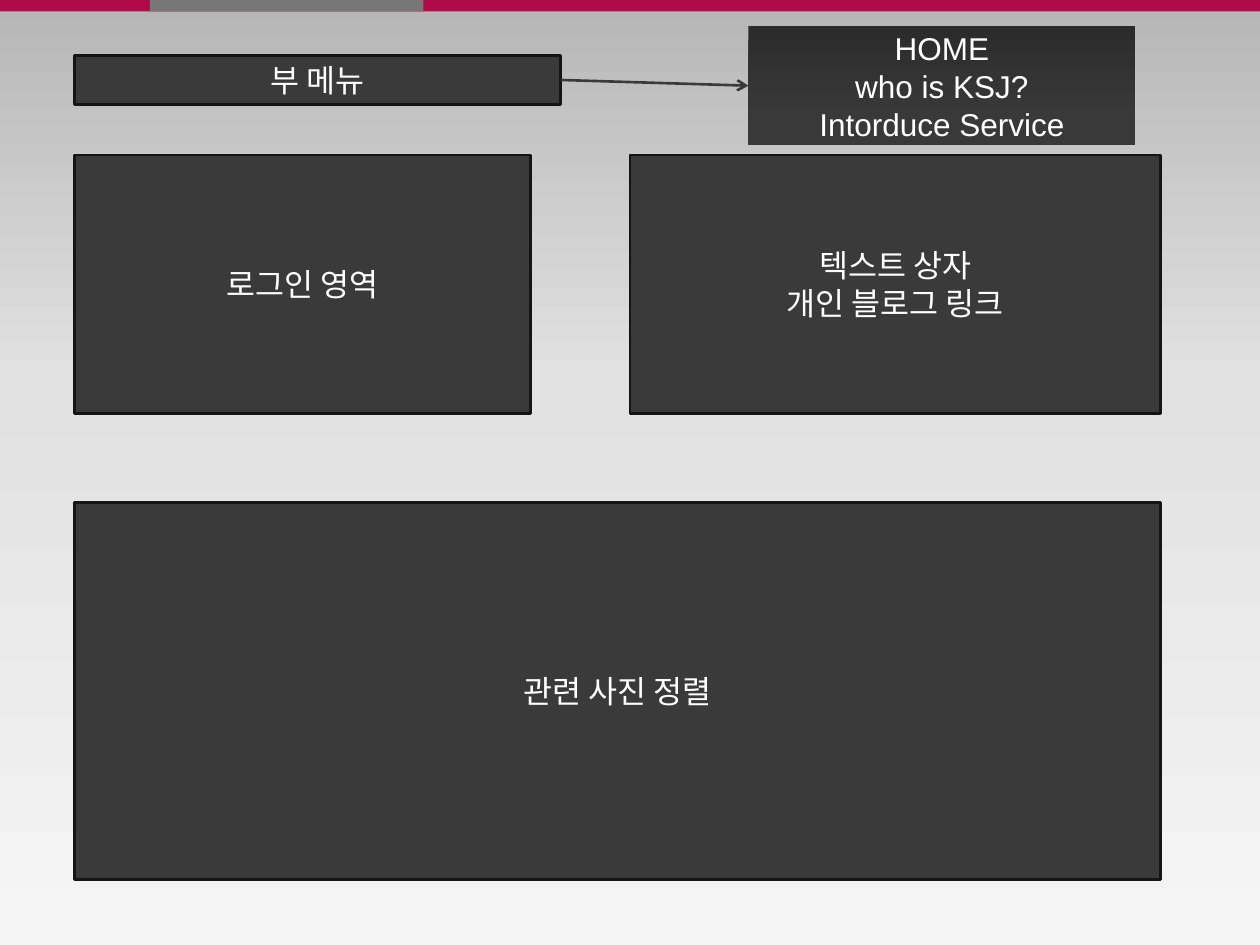
import pptx
import pptx.util
import pptx.dml.color
import pptx.enum.shapes
import pptx.enum.text
import pptx.oxml
from pptx.oxml.ns import qn
from pptx.util import Inches

COLORS = {
    "accent": "AF0948", "tab": "777777", "panel": "3A3A3A",
    "border": "151515", "text": "FFFFFF",
}
PAGE_STOPS = [(0, "B6B6B6"), (40, "E1E1E1"), (100, "F5F5F5")]
SUBMENU_STOPS = [(0, "2C2C2C"), (80, "393939"), (100, "393939")]
LEFT, RIGHT = 0.59, 9.21


def rgb(value):
    return pptx.dml.color.RGBColor.from_string(value)


def set_gradient(fill, element, stops):
    """Fill from top to bottom with (percent, colour) stops."""
    fill.gradient()
    fill.gradient_angle = 270
    gs_list = element.find(".//" + qn("a:gsLst"))
    for gs in list(gs_list):
        gs_list.remove(gs)
    for percent, color in stops:
        gs = gs_list.makeelement(qn("a:gs"), {"pos": str(percent * 1000)})
        gs.append(gs.makeelement(qn("a:srgbClr"), {"val": color}))
        gs_list.append(gs)


def write_text(sp, text, size=18, font="Arial", color=COLORS["text"]):
    tf = sp.text_frame
    tf.word_wrap = True
    tf.vertical_anchor = pptx.enum.text.MSO_ANCHOR.MIDDLE
    for i, line in enumerate(text.split("\n")):
        p = tf.paragraphs[0] if i == 0 else tf.add_paragraph()
        p.alignment = pptx.enum.text.PP_ALIGN.CENTER
        r = p.add_run()
        r.text = line
        r.font.size = pptx.util.Pt(size)
        r.font.name = font
        r.font.color.rgb = rgb(color)


def add_box(s, box, fill=COLORS["panel"], line=None, text=None):
    sp = s.shapes.add_shape(pptx.enum.shapes.MSO_SHAPE.RECTANGLE,
                            *map(Inches, box))
    sp.shadow.inherit = False
    sp.fill.solid()
    sp.fill.fore_color.rgb = rgb(fill)
    if line:
        sp.line.color.rgb = rgb(line)
        sp.line.width = pptx.util.Pt(1.5)
    else:
        sp.line.fill.background()
    if text:
        write_text(sp, text)
    return sp


def add_arrow(s, start, end):
    """Join the right side of start to the left side of end."""
    line = s.shapes.add_connector(
        pptx.enum.shapes.MSO_CONNECTOR.STRAIGHT, 0, 0, 0, 0)
    line.begin_connect(start, 3)
    line.end_connect(end, 1)
    line.line.color.rgb = rgb(COLORS["panel"])
    line.line.width = pptx.util.Pt(1.5)
    ln = line.line._get_or_add_ln()
    ln.append(ln.makeelement(qn("a:tailEnd"), {"type": "arrow"}))
    sp_pr = line.element.spPr
    sp_pr.append(sp_pr.makeelement(qn("a:effectLst"), {}))


def add_top_band(s, left, top, width, height):
    add_box(s, (left, top, width, height), fill=COLORS["accent"])
    add_box(s, (left + 1.19, top, 2.17, height), fill=COLORS["tab"])


def add_menu(s, left, top, width, height):
    menu = add_box(s, (left, top + 0.23, 3.86, 0.39),
                   line=COLORS["border"], text="부 메뉴")
    submenu = add_box(s, (left + width - 3.07, top, 3.07, height),
                      text="HOME\nwho is KSJ?\nIntorduce Service")
    set_gradient(submenu.fill, submenu.element, SUBMENU_STOPS)
    add_arrow(s, menu, submenu)


def add_content(s, left, top, width, height):
    row_height, login_width, links_width, photos_height = 2.05, 3.62, 4.21, 2.99
    panels = [
        ((left, top, login_width, row_height), "로그인 영역"),
        ((left + width - links_width, top, links_width, row_height),
         "텍스트 상자\n개인 블로그 링크"),
        ((left, top + height - photos_height, width, photos_height),
         "관련 사진 정렬"),
    ]
    for box, text in panels:
        add_box(s, box, line=COLORS["border"], text=text)


def main():
    prs = pptx.Presentation()
    prs.slide_width, prs.slide_height = Inches(10), Inches(7.5)
    s = prs.slides.add_slide(prs.slide_layouts[6])
    set_gradient(s.background.fill, s.element, PAGE_STOPS)

    # Coloured band, menu row, content panels
    add_top_band(s, 0, 0, 10, 0.09)
    add_menu(s, LEFT, 0.21, 8.42, 0.94)
    add_content(s, LEFT, 1.23, RIGHT - LEFT, 5.75)
    prs.save("out.pptx")


if __name__ == "__main__":
    main()
